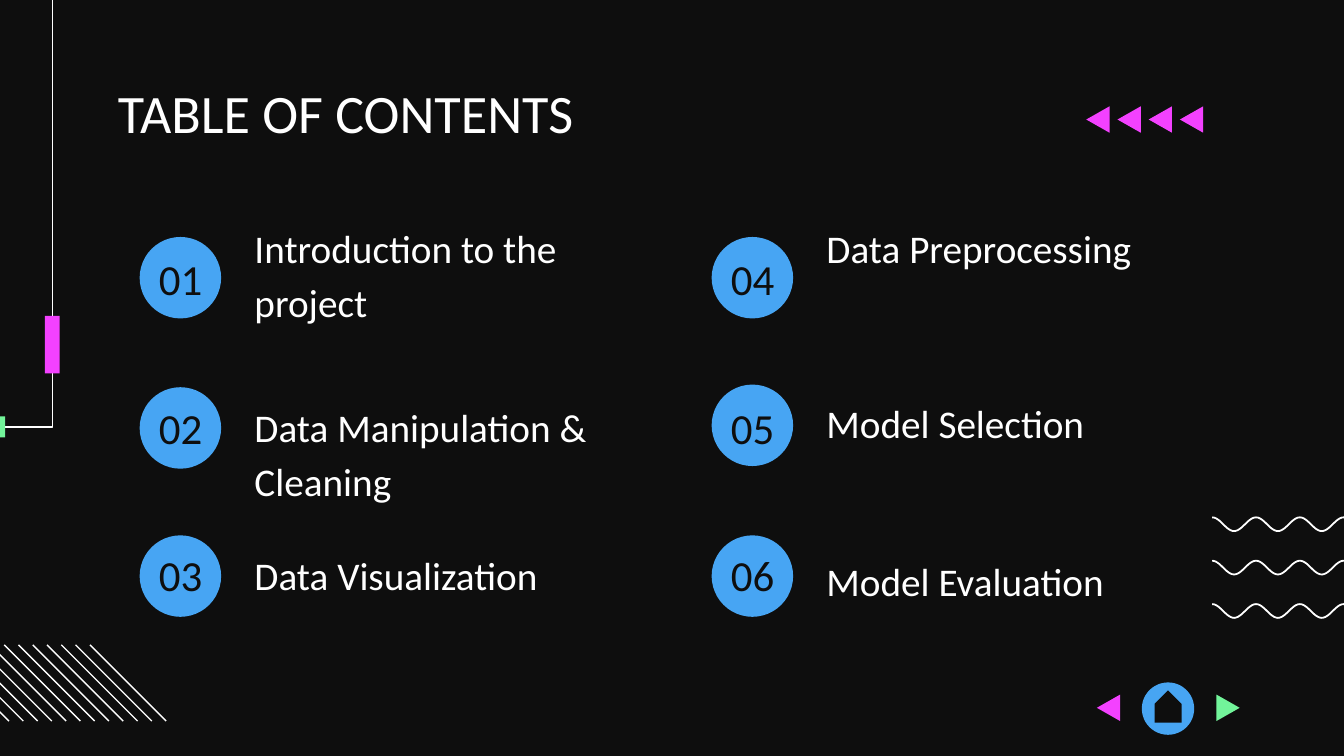
from dataclasses import dataclass
from math import cos, pi

from pptx import Presentation
from pptx.dml.color import RGBColor
from pptx.enum.shapes import MSO_SHAPE
from pptx.enum.text import MSO_ANCHOR, PP_ALIGN
from pptx.util import Cm, Pt


@dataclass(frozen=True)
class Theme:
    dark: RGBColor = RGBColor(0x0E, 0x0E, 0x0E)
    white: RGBColor = RGBColor(0xFF, 0xFF, 0xFF)
    blue: RGBColor = RGBColor(0x47, 0xA5, 0xF3)
    pink: RGBColor = RGBColor(0xF3, 0x41, 0xFF)
    green: RGBColor = RGBColor(0x72, 0xF4, 0x9A)
    font: str = "Calibri"
    title: Pt = Pt(29)
    number: Pt = Pt(23)
    topic: Pt = Pt(21)


THEME = Theme()

# Column left edge, then (number, topic, circle top, number top, topic top)
COLUMNS = [
    (2.64, [
        ("01", "Introduction to the project", 4.48, 4.27, 4.11),
        ("02", "Data Manipulation & Cleaning", 7.32, 7.09, 7.49),
        ("03", "Data Visualization", 10.12, 9.88, 10.29),
    ]),
    (13.45, [
        ("04", "Data Preprocessing", 4.48, 4.27, 4.11),
        ("05", "Model Selection", 7.27, 7.09, 7.42),
        ("06", "Model Evaluation", 10.12, 9.88, 10.41),
    ]),
]


def add_freeform(slide, points, close):
    (x, y), *rest = [(Cm(px), Cm(py)) for px, py in points]
    builder = slide.shapes.build_freeform(x, y)
    builder.add_line_segments(rest, close=close)
    s = builder.convert_to_shape()
    s.shadow.inherit = False
    return s


def add_stroke(slide, points, width=0.75):
    s = add_freeform(slide, points, close=False)
    s.fill.background()
    s.line.color.rgb = THEME.white
    s.line.width = Pt(width)


def fill_plain(s, color):
    s.shadow.inherit = False
    s.fill.solid()
    s.fill.fore_color.rgb = color
    s.line.fill.background()


def add_block(slide, kind, x, y, w, h, color):
    s = slide.shapes.add_shape(kind, Cm(x), Cm(y), Cm(w), Cm(h))
    fill_plain(s, color)
    return s


def add_triangle(slide, x, y, color, left=True):
    """Draw a small arrowhead in a 0.44 by 0.5 cm frame."""
    w, h = 0.44, 0.5
    base, tip = (x + w, x) if left else (x, x + w)
    points = [(base, y), (tip, y + h / 2), (base, y + h)]
    fill_plain(add_freeform(slide, points, close=True), color)


def add_text(slide, text, x, y, w, h, size, color, top_inset=0.0):
    tf = slide.shapes.add_textbox(Cm(x), Cm(y), Cm(w), Cm(h)).text_frame
    tf.word_wrap = True
    tf.vertical_anchor = MSO_ANCHOR.TOP
    tf.margin_left = tf.margin_right = tf.margin_bottom = Cm(0.25)
    tf.margin_top = Cm(top_inset)
    p = tf.paragraphs[0]
    p.text = text
    p.font.name = THEME.font
    p.font.size = size
    p.font.color.rgb = color
    return p


def add_wave(slide, x, y):
    half_waves, steps, width, height = 7, 12, 2.9, 0.26
    count = half_waves * steps
    points = [(x + width * i / count, y + height * (1 - cos(pi * i / steps)) / 2)
              for i in range(count + 1)]
    add_stroke(slide, points, 0.95)


def add_decoration(slide):
    for i in range(3):
        add_wave(slide, 22.91, 9.78 + 0.82 * i)
    for i in range(12):
        x, y, size = -1.27 + 0.27 * i, 12.19, 1.44
        add_stroke(slide, [(x, y), (x + size, y + size)])
    add_stroke(slide, [(-9.98, 8.07), (0.99, 8.07), (0.99, -0.56)])
    add_block(slide, MSO_SHAPE.RECTANGLE, -0.3, 7.87, 0.4, 0.4, THEME.green)
    add_block(slide, MSO_SHAPE.RECTANGLE, 0.85, 5.97, 0.28, 1.09, THEME.pink)
    for i in range(4):
        add_triangle(slide, 20.53 + 0.59 * i, 2.01, THEME.pink)


def add_entry(slide, x, number, topic, circle_y, number_y, topic_y):
    add_block(slide, MSO_SHAPE.OVAL, x, circle_y, 1.54, 1.54, THEME.blue)
    p = add_text(slide, number, x - 0.37, number_y, 2.29, 1.55,
                 THEME.number, THEME.dark, top_inset=0.5)
    p.alignment = PP_ALIGN.CENTER
    p = add_text(slide, topic, x + 1.92, topic_y, 8.03, 1,
                 THEME.topic, THEME.white)
    p.line_spacing = 1.15
    p.space_after = Pt(12)


def add_navigation(slide):
    add_block(slide, MSO_SHAPE.OVAL, 21.58, 12.9, 0.99, 0.99, THEME.blue)
    house = add_block(slide, MSO_SHAPE.PENTAGON, 21.77, 13.1, 0.61, 0.51, THEME.dark)
    house.adjustments[0] = 0.5
    house.rotation = 270
    add_triangle(slide, 20.73, 13.13, THEME.pink)
    add_triangle(slide, 22.99, 13.13, THEME.green, left=False)


def main():
    prs = Presentation()
    prs.slide_width, prs.slide_height = Cm(25.4), Cm(14.29)
    slide = prs.slides.add_slide(prs.slide_layouts[6])
    slide.background.fill.solid()
    slide.background.fill.fore_color.rgb = THEME.dark

    add_decoration(slide)
    add_text(slide, "TABLE OF CONTENTS", 1.98, 1.5, 21.44, 1.17,
             THEME.title, THEME.white)
    for x, entries in COLUMNS:
        for entry in entries:
            add_entry(slide, x, *entry)
    add_navigation(slide)
    prs.save("out.pptx")


if __name__ == "__main__":
    main()
